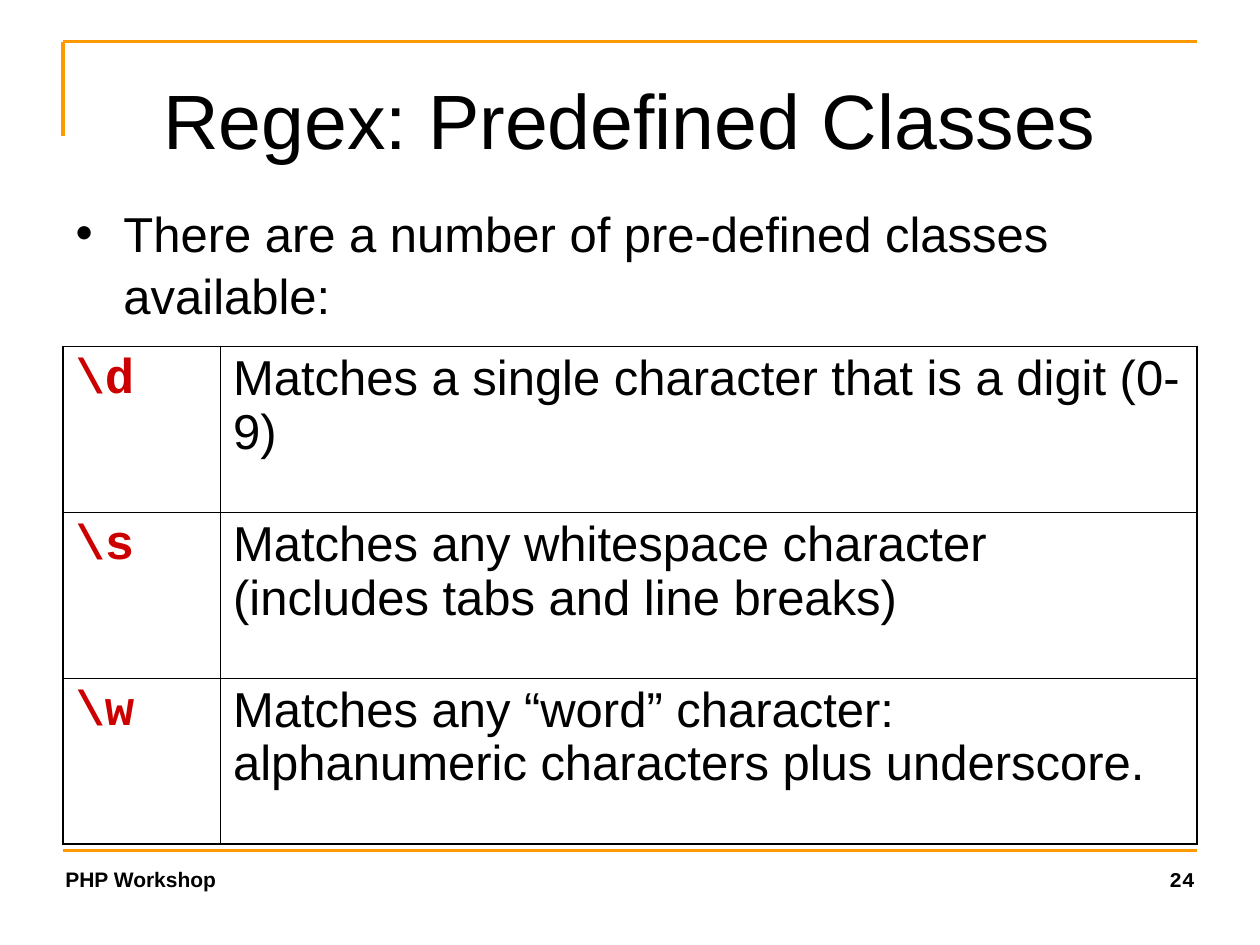
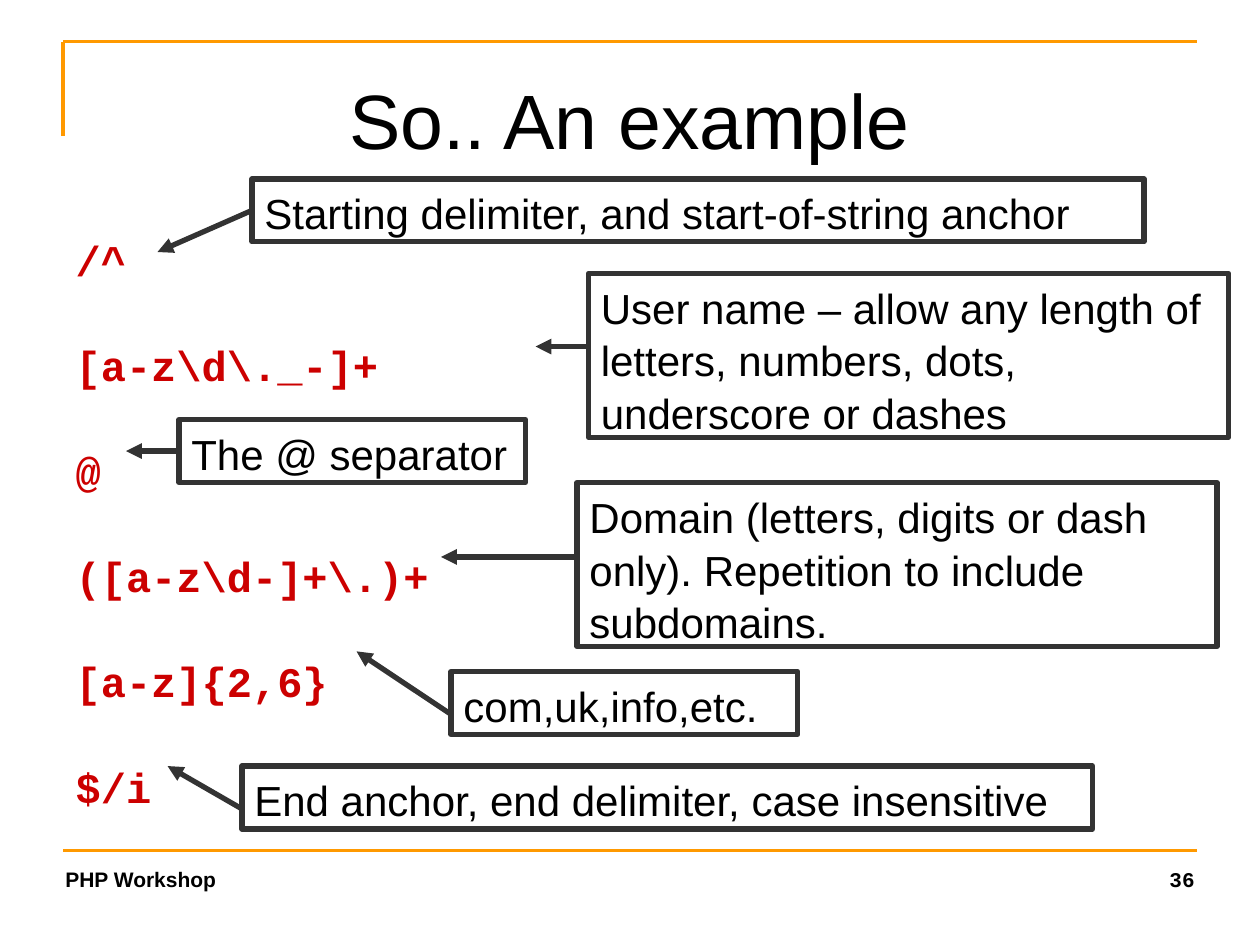
from pptx import Presentation
from pptx.dml.color import RGBColor
from pptx.enum.shapes import MSO_CONNECTOR, MSO_SHAPE
from pptx.enum.text import MSO_ANCHOR, MSO_AUTO_SIZE, PP_ALIGN
from pptx.oxml.ns import qn
from pptx.util import Inches, Pt
from lxml.etree import SubElement

BLACK, ORANGE, RED, GREY = "000000", "FF9900", "CC0000", "333333"
FOOTER = "PHP Workshop"
FRAME = [((0.5, 6.75), (9.5, 6.75)), ((0.5, 0.33), (9.5, 0.33)), ((0.5, 1.08), (0.5, 0.33))]

TITLE = {"name": "Arial", "size": 44, "color": BLACK}
INTRO = {"name": "Arial", "size": 28, "color": BLACK}
TOKEN = {"name": "Courier New", "size": 28, "color": RED, "bold": True}
PATTERN = {**TOKEN, "size": 24}
NOTE = {"name": "Arial", "size": 24, "color": BLACK}
FOOT = {"name": "Arial", "size": 12, "color": BLACK, "bold": True}
NUMBER = {**FOOT, "name": "Courier New"}

CLASSES = [
    ("\\d", "Matches a single character that is a digit (0-9)"),
    ("\\s", "Matches any whitespace character (includes tabs and line breaks)"),
    ("\\w", "Matches any “word” character: alphanumeric characters plus underscore."),
]
PARTS = ["/^", "[a-z\\d\\._-]+", "@", "([a-z\\d-]+\\.)+", "[a-z]{2,6}", "$/i"]
CALLOUTS = [
    ("Starting delimiter, and start-of-string anchor", (2, 1.42, 7.08, 0.5), 1.67, (1.25, 2)),
    ("User name – allow any length of letters, numbers, dots, underscore or dashes",
     (4.67, 2.17, 5.08, 1.3), 2.75, (4.25, 2.75)),
    ("The @ separator", (1.42, 3.33, 2.75, 0.5), 3.58, (1, 3.58)),
    ("Domain (letters, digits or dash only). Repetition to include subdomains.",
     (4.58, 3.83, 5.08, 1.3), 4.42, (3.5, 4.42)),
    ("com,uk,info,etc.", (3.58, 5.33, 2.75, 0.5), 5.67, (2.83, 5.17)),
    ("End anchor, end delimiter, case insensitive", (1.92, 6.08, 6.75, 0.5), 6.42, (1.33, 6.08)),
]


def rgb(color):
    return RGBColor.from_string(color)


def inches(values):
    return [Inches(v) for v in values]


def style(font, fmt):
    for key, value in fmt.items():
        if key == "color":
            font.color.rgb = rgb(value)
        else:
            setattr(font, key, Pt(value) if key == "size" else value)


def write(tf, texts, fmt, align=PP_ALIGN.LEFT, spacing=1.05, gap=0):
    for i, text in enumerate(texts):
        p = tf.add_paragraph() if i else tf.paragraphs[0]
        p.alignment, p.line_spacing = align, spacing
        p.space_before = Pt(gap if i else 0)
        r = p.add_run()
        r.text = text
        style(r.font, fmt)


def place(shape, box):
    for key, value in zip(("left", "top", "width", "height"), inches(box)):
        setattr(shape, key, value)


def add_line(s, start, end, color, width, arrow=False):
    line = s.shapes.add_connector(MSO_CONNECTOR.STRAIGHT, *inches(start + end))
    line.line.color.rgb = rgb(color)
    line.line.width = Pt(width)
    if arrow:
        SubElement(line.line._get_or_add_ln(), qn("a:tailEnd"), type="triangle")
    SubElement(line._element.spPr, qn("a:effectLst"))


def add_body(s, box, texts, fmt, bullet=None, gap=0):
    body = s.placeholders[1]
    place(body, box)
    tf = body.text_frame
    tf.auto_size, tf.margin_top = MSO_AUTO_SIZE.NONE, Inches(0.09)
    write(tf, texts, fmt, gap=gap)
    for p in tf.paragraphs:
        pPr = p._p.get_or_add_pPr()
        pPr.set("marL", str(Inches(0.38)))
        pPr.set("indent", str(-Inches(0.38)))
        if bullet:
            SubElement(SubElement(pPr, qn("a:buClr")), qn("a:srgbClr"), val=BLACK)
            SubElement(pPr, qn("a:buChar"), char=bullet)
        else:
            SubElement(pPr, qn("a:buNone"))


def add_slide(prs, title, number):
    s = prs.slides.add_slide(prs.slide_layouts[1])
    for start, end in FRAME:
        add_line(s, start, end, ORANGE, 2)
    for text, left, width, fmt, align in (
        (FOOTER, 0.42, 2.48, FOOT, PP_ALIGN.LEFT),
        (str(number), 7.01, 2.57, NUMBER, PP_ALIGN.RIGHT),
    ):
        tf = s.shapes.add_textbox(*inches((left, 6.83, width, 0.32))).text_frame
        tf.word_wrap = True
        write(tf, [text], fmt, align, 1)
    place(s.shapes.title, (0.5, 0.3, 9, 1.25))
    tf = s.shapes.title.text_frame
    tf.auto_size, tf.vertical_anchor = MSO_AUTO_SIZE.NONE, MSO_ANCHOR.MIDDLE
    write(tf, [title], TITLE, PP_ALIGN.CENTER)
    return s


def set_borders(cell, widths):
    tcPr = cell._tc.get_or_add_tcPr()
    for side, width in widths.items():
        ln = SubElement(tcPr, qn("a:ln" + side), w=str(Pt(width)))
        SubElement(SubElement(ln, qn("a:solidFill")), qn("a:srgbClr"), val=BLACK)


def add_class_table(s, rows):
    table = s.shapes.add_table(len(rows), 2, *inches((0.5, 2.75, 9, 3.95))).table
    table.first_row = table.horz_banding = False
    for col, width in zip(table.columns, inches((1.25, 7.75))):
        col.width = width
    outer, inner = 1.08, 0.45
    for i, row in enumerate(rows):
        for j, (text, fmt) in enumerate(zip(row, (TOKEN, INTRO))):
            cell = table.cell(i, j)
            edges = {"L": j == 0, "R": j == 1, "T": i == 0, "B": i == len(rows) - 1}
            set_borders(cell, {side: outer if edge else inner for side, edge in edges.items()})
            cell.fill.background()
            write(cell.text_frame, [text], fmt, spacing=0.98)


def add_callout(s, text, box, start_y, target):
    sp = s.shapes.add_shape(MSO_SHAPE.RECTANGLE, *inches(box))
    sp.shadow.inherit = False
    sp.fill.background()
    sp.line.color.rgb = rgb(GREY)
    sp.line.width = Pt(3)
    tf = sp.text_frame
    tf.word_wrap, tf.vertical_anchor = True, MSO_ANCHOR.TOP
    tf.auto_size = MSO_AUTO_SIZE.SHAPE_TO_FIT_TEXT
    write(tf, [text], NOTE)
    add_line(s, (box[0], start_y), target, GREY, 3, arrow=True)


def main():
    prs = Presentation()
    prs.slide_width, prs.slide_height = inches((10, 7.5))

    s = add_slide(prs, "Regex: Predefined Classes", 24)
    add_body(s, (0.5, 1.5, 9, 1.08), ["There are a number of pre-defined classes available:"],
             INTRO, bullet="•")
    add_class_table(s, CLASSES)

    s = add_slide(prs, "So.. An example", 36)
    add_body(s, (0.5, 1.75, 9, 4.95), PARTS, PATTERN, gap=30)
    for callout in CALLOUTS:
        add_callout(s, *callout)

    prs.save("out.pptx")


if __name__ == "__main__":
    main()
